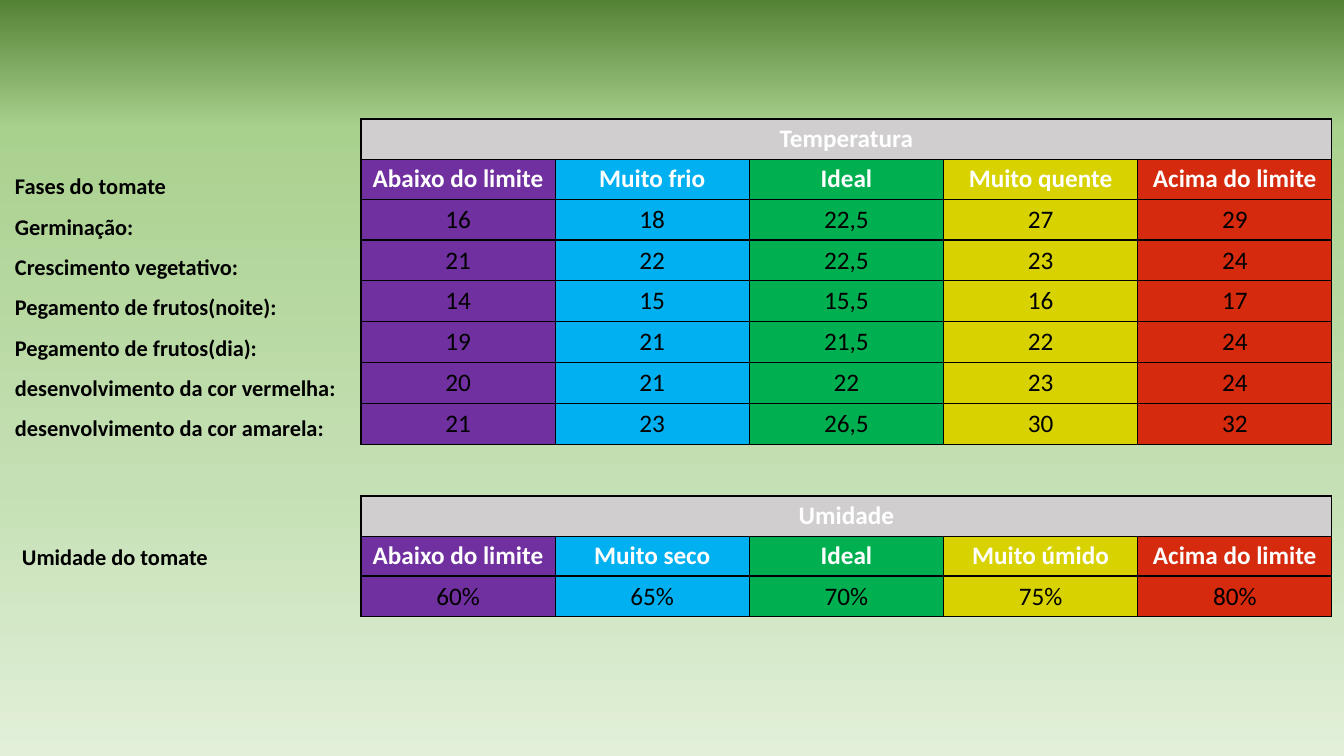
import copy

import lxml.etree
import pptx
import pptx.dml.color
import pptx.enum.text
import pptx.oxml
import pptx.oxml.ns
import pptx.util

Inches = pptx.util.Inches
RGBColor = pptx.dml.color.RGBColor

BLACK = RGBColor(0x00, 0x00, 0x00)
WHITE = RGBColor(0xFF, 0xFF, 0xFF)
GREY = RGBColor(0xD0, 0xCE, 0xCE)
LEVEL_COLORS = [
    RGBColor(0x70, 0x30, 0xA0),
    RGBColor(0x00, 0xB0, 0xF0),
    RGBColor(0x00, 0xB0, 0x50),
    RGBColor(0xD7, 0xD2, 0x00),
    RGBColor(0xD5, 0x2A, 0x0D),
]
BACKGROUND_STOPS = [
    (0, RGBColor(0xE2, 0xF0, 0xD9)),
    (36, RGBColor(0xC5, 0xE0, 0xB4)),
    (83, RGBColor(0xA9, 0xD1, 0x8E)),
    (100, RGBColor(0x54, 0x82, 0x35)),
]

TEMPERATURE = [
    ["Abaixo do limite", "Muito frio", "Ideal", "Muito quente", "Acima do limite"],
    ["16", "18", "22,5", "27", "29"],
    ["21", "22", "22,5", "23", "24"],
    ["14", "15", "15,5", "16", "17"],
    ["19", "21", "21,5", "22", "24"],
    ["20", "21", "22", "23", "24"],
    ["21", "23", "26,5", "30", "32"],
]
HUMIDITY = [
    ["Abaixo do limite", "Muito seco", "Ideal", "Muito úmido", "Acima do limite"],
    ["60%", "65%", "70%", "75%", "80%"],
]
PHASES = [
    "Fases do tomate",
    "Germinação:",
    "Crescimento vegetativo:",
    "Pegamento de frutos(noite):",
    "Pegamento de frutos(dia):",
    "desenvolvimento da cor vermelha:",
    "desenvolvimento da cor amarela:",
]


def paint_background(slide):
    """Fill the slide with a green gradient that darkens towards the top."""
    fill = slide.background.fill
    fill.gradient()
    fill.gradient_angle = 90
    stop_list = slide.element.xpath(".//p:bg//a:gsLst")[0]
    for gs in list(stop_list):
        stop_list.remove(gs)
    for position, color in BACKGROUND_STOPS:
        gs = lxml.etree.SubElement(
            stop_list, pptx.oxml.ns.qn("a:gs"), pos=str(position * 1000))
        lxml.etree.SubElement(gs, pptx.oxml.ns.qn("a:srgbClr"), val=str(color))


def style_font(font, size, color, bold):
    """Set the typeface, size, colour and weight of a font."""
    font.name = "Calibri"
    font.size = pptx.util.Pt(size)
    font.color.rgb = color
    font.bold = bold


def fill_cell(cell, text, fill_color, is_header):
    """Write centred text into a filled cell with thin black borders."""
    tc_pr = cell._tc.get_or_add_tcPr()
    border = pptx.oxml.parse_xml(
        f'<a:lnL {pptx.oxml.ns.nsdecls("a")} w="12700"><a:solidFill>'
        f'<a:srgbClr val="{BLACK}"/></a:solidFill></a:lnL>')
    for side in "LRTB":
        line = copy.deepcopy(border)
        line.tag = pptx.oxml.ns.qn(f"a:ln{side}")
        tc_pr.append(line)
    cell.fill.solid()
    cell.fill.fore_color.rgb = fill_color
    cell.text = text
    p = cell.text_frame.paragraphs[0]
    p.alignment = pptx.enum.text.PP_ALIGN.CENTER
    style_font(p.font, 18, WHITE if is_header else BLACK, is_header)


def add_grid(slide, left, top, width, height, rows, colors):
    """Add a table whose columns each have their own colour."""
    table = slide.shapes.add_table(
        len(rows), len(colors),
        Inches(left), Inches(top), Inches(width), Inches(height)).table
    table.first_row = table.horz_banding = False
    for i, row in enumerate(rows):
        for j, (text, color) in enumerate(zip(row, colors)):
            fill_cell(table.cell(i, j), text, color, i == 0)


def add_measure(slide, left, top, width, title, rows):
    """Add a grey title bar with the table of levels under it."""
    bar_height, row_height = 0.4, 0.405
    add_grid(slide, left, top + bar_height - 0.01, width,
             row_height * len(rows), rows, LEVEL_COLORS)
    add_grid(slide, left, top, width, bar_height, [[title]], [GREY])


def add_labels(slide, left, top, width, height, lines, spacing):
    """Add bold row labels, one paragraph a line."""
    tf = slide.shapes.add_textbox(
        Inches(left), Inches(top), Inches(width), Inches(height)).text_frame
    tf.word_wrap = True
    tf.text = "\n".join(lines)
    for p in tf.paragraphs:
        p.line_spacing = spacing
        style_font(p.font, 16, BLACK, True)


def main():
    """Build the slide of tomato temperature and humidity limits."""
    prs = pptx.Presentation()
    prs.slide_width = Inches(13.33)
    prs.slide_height = Inches(7.5)
    slide = prs.slides.add_slide(prs.slide_layouts[6])
    paint_background(slide)
    add_measure(slide, 3.58, 1.18, 9.63, "Temperatura", TEMPERATURE)
    add_labels(slide, 0.05, 1.53, 3.52, 2.89, PHASES, 1.5)
    add_measure(slide, 3.58, 4.92, 9.63, "Umidade", HUMIDITY)
    add_labels(slide, 0.12, 5.34, 2.13, 0.37, ["Umidade do tomate"], 1.0)
    prs.save("out.pptx")


if __name__ == "__main__":
    main()
